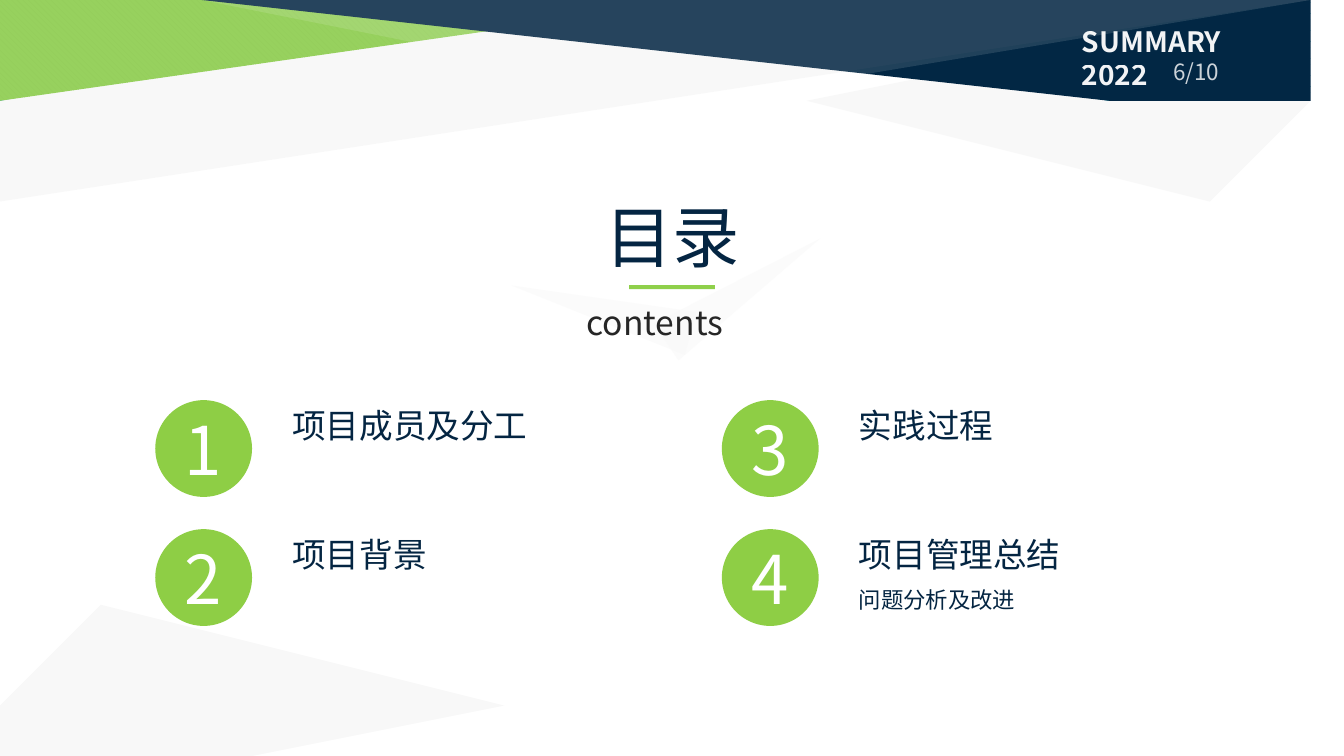
from lxml.etree import SubElement
from pptx import Presentation
from pptx.dml.color import RGBColor
from pptx.enum.dml import MSO_PATTERN
from pptx.enum.shapes import MSO_SHAPE as Kind
from pptx.enum.text import MSO_ANCHOR, MSO_AUTO_SIZE, PP_ALIGN
from pptx.oxml.ns import qn
from pptx.util import Inches, Pt

FONT = "Noto Sans CJK SC"
NAVY, GREEN, WHITE, PALE = "042542", "8ECE45", "FFFFFF", "F8F8F8"

# Outline, fill (one colour, or two for a diagonal pattern), opacity in percent
BANDS = [
    ([(13.33, 0.6), (13.33, 1.04), (11.53, 1.66), (7.58, 0.84), (13.07, -0.03)], PALE, 100),
    ([(-0.04, 1.15), (4.59, 0.36), (11.39, 1.46), (13.35, 0.95), (13.35, -0.03), (-0.02, 0)],
     ("0096A3", "008CA3"), 100),
    ([(-0.04, -0.02), (-0.04, 1.03), (7.38, -0.05)], ("95D15A", "99D65D"), 100),
    ([(1.94, -0.02), (11.37, 1.28), (13.34, 0.9), (13.34, -0.05)], "022744", 100),
    ([(-0.02, 0.02), (13.33, -0.01), (-0.02, 2.02)], "808080", 5),
    ([(13.35, -0.05), (7.15, 0.88), (1.88, -0.02)], WHITE, 12),
    ([(5.37, 7.49), (0.93, 6.29), (0, 6.64), (0, 7.52)], PALE, 100),
]
WINGS = [(5.74, 2.15, 285), (7.15, 1.96, 56.1)]
TOPICS = ["项目成员及分工", "项目背景", "实践过程", "项目管理总结"]
LEFT, TOP, COL, ROW, DISC = 1.54, 3.97, 5.62, 1.28, 0.96


def tint(hue):
    return RGBColor.from_string(hue)


def fade(element, alpha):
    """Set the opacity, in percent, of the plain colours in an element."""
    if alpha < 100:
        for mark in element.iter(qn("a:srgbClr")):
            SubElement(mark, qn("a:alpha")).set("val", str(alpha * 1000))


def paint(shape, hue, alpha=100):
    shape.shadow.inherit = False
    shape.line.fill.background()
    if isinstance(hue, tuple):
        shape.fill.patterned()
        shape.fill.pattern = MSO_PATTERN.WIDE_DOWNWARD_DIAGONAL
        shape.fill.fore_color.rgb, shape.fill.back_color.rgb = map(tint, hue)
    else:
        shape.fill.solid()
        shape.fill.fore_color.rgb = tint(hue)
    fade(shape.element, alpha)
    return shape


def add(kind, box, hue, alpha=100):
    return paint(slide.shapes.add_shape(kind, *map(Inches, box)), hue, alpha)


def write(text, box=None, shape=None, size=24, hue=NAVY, bold=False,
          align=PP_ALIGN.LEFT, pitch=None, alpha=100):
    """Put text in the given shape, or in a new text box."""
    shape = shape or slide.shapes.add_textbox(*map(Inches, box))
    frame = shape.text_frame
    frame.text = text
    frame.word_wrap = True
    frame.auto_size = MSO_AUTO_SIZE.NONE
    frame.vertical_anchor = MSO_ANCHOR.TOP if pitch else MSO_ANCHOR.MIDDLE
    para = frame.paragraphs[0]
    para.alignment = align
    if pitch:
        para.line_spacing = Pt(pitch)
    for run in para.runs:
        font = run.font
        font.name, font.size, font.bold = FONT, Pt(size), bold
        font.color.rgb = tint(hue)
        props = run._r.get_or_add_rPr()
        SubElement(props, qn("a:ea")).set("typeface", FONT)
        fade(props, alpha)


deck = Presentation()
deck.slide_width, deck.slide_height = Inches(13.33), Inches(7.5)
slide = deck.slides.add_slide(deck.slide_layouts[5])

for points, hue, alpha in BANDS:
    pen = slide.shapes.build_freeform(*points[0], scale=Inches(1))
    pen.add_line_segments(points[1:], close=True)
    paint(pen.convert_to_shape(), hue, alpha)

for x, y, turn in WINGS:
    wing = add(Kind.ISOSCELES_TRIANGLE, (x, y, 0.44, 1.84), PALE, 50)
    wing.rotation = turn

title = slide.shapes.title
title.left, title.top, title.width, title.height = map(Inches, (5.67, 1.88, 2, 0.91))
write("目录", shape=title, size=48, align=PP_ALIGN.CENTER)
wing.element.addnext(title.element)  # keeps the title in front of the wings
add(Kind.RECTANGLE, (6.24, 2.83, 0.85, 0.04), "8FD04B")
write("contents", (5.72, 2.95, 1.89, 0.5), hue="262626")

for i, topic in enumerate(TOPICS):
    col, row = divmod(i, 2)
    x, y = LEFT + col * COL, TOP + row * ROW
    disc = add(Kind.OVAL, (x, y, DISC, DISC), GREEN)
    write(str(i + 1), shape=disc, size=48, hue=WHITE, align=PP_ALIGN.CENTER)
    write(topic, (x + 1.26, y, 3, 0.5))
write("问题分析及改进", (LEFT + COL + 1.26, 5.76, 3, 0.37), size=16)

write("6/10", (11.54, 0.52, 0.8, 0.37), size=16, hue=WHITE, alpha=80)
write("SUMMARY\v2022", (10.63, 0.2, 2.18, 0.75), size=20, hue=WHITE, bold=True,
      pitch=23.6, alpha=95)

deck.save("out.pptx")
